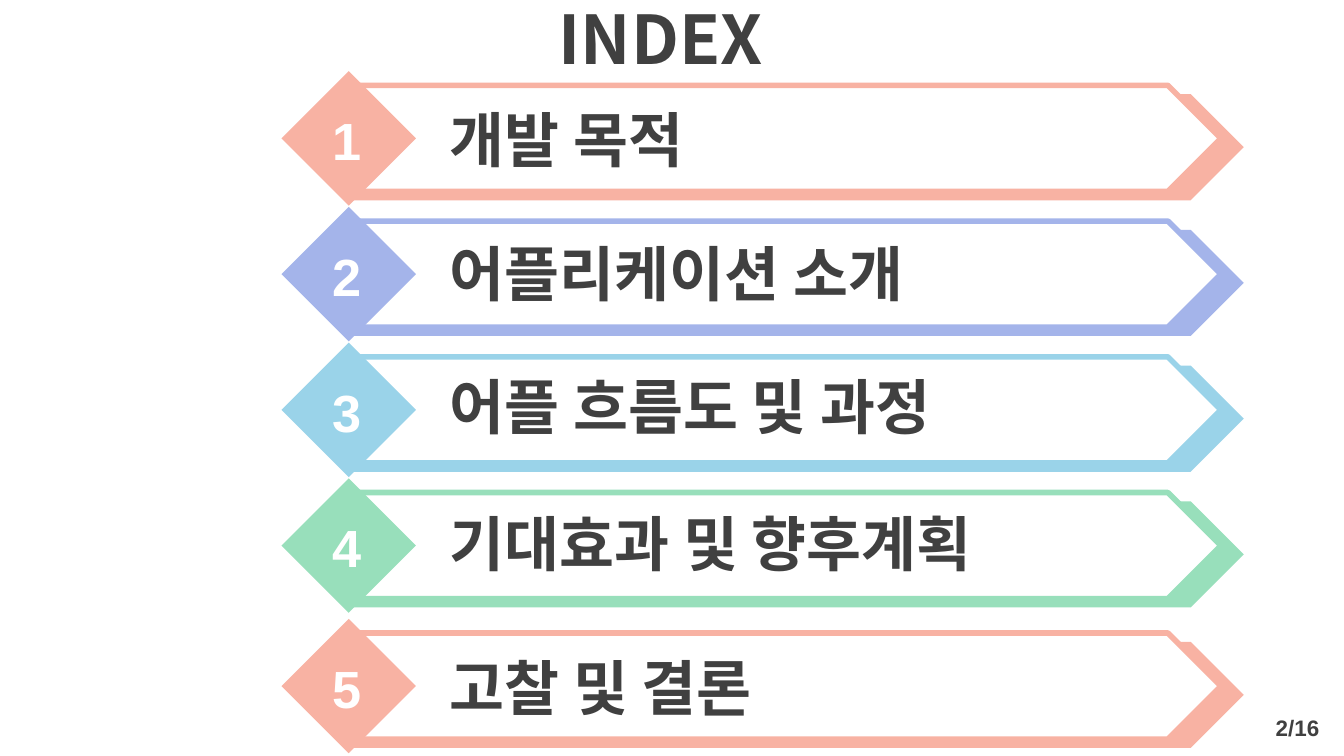
from collections import namedtuple

from lxml import etree
from pptx import Presentation
from pptx import util as u
from pptx.dml.color import RGBColor
from pptx.enum import shapes, text
from pptx.oxml import ns

# The slide is a grid of square cells; every box is counted in cells.
COLUMNS, ROWS = 1000, 562.5
CELL = u.Inches(0.01)

CORAL = RGBColor(0xF8, 0xB2, 0xA3)
PERIWINKLE = RGBColor(0xA4, 0xB4, 0xEA)
SKY = RGBColor(0x9A, 0xD3, 0xE9)
MINT = RGBColor(0x98, 0xDF, 0xBB)
WHITE = RGBColor(0xFF, 0xFF, 0xFF)
CHARCOAL = RGBColor(0x40, 0x40, 0x40)

KOREAN = "Noto Sans CJK KR"
LATIN = "Arial"
PLATE = shapes.MSO_SHAPE.PENTAGON
DIAMOND = shapes.MSO_SHAPE.DIAMOND

TITLE_FORMAT = {"name": KOREAN, "size": u.Pt(36), "bold": True}
ENTRY_FORMAT = {"name": KOREAN, "size": u.Pt(32), "bold": True}
NUMBER_FORMAT = {"name": LATIN, "size": u.Pt(28), "bold": True}
PAGE_FORMAT = {"name": LATIN, "size": u.Pt(12), "bold": True}

# Label, colour, top of the row, drop of the label below that top
ENTRIES = [
    ("개발 목적", CORAL, 53, 18),
    ("어플리케이션 소개", PERIWINKLE, 154, 17),
    ("어플 흐름도 및 과정", SKY, 255, 15),
    ("기대효과 및 향후계획", MINT, 356, 16),
    ("고찰 및 결론", CORAL, 460.5, 18.5),
]


class Box(namedtuple("Box", "left top width height")):
    def inner(self, left, top, width, height):
        return Box(self.left + left, self.top + top, width, height)

    def lengths(self):
        return [round(cells * CELL) for cells in self]


def add_text(page, box, words, font_format, color, align):
    frame = page.shapes.add_textbox(*box.lengths()).text_frame
    frame_format = {
        "word_wrap": True,
        "vertical_anchor": text.MSO_ANCHOR.MIDDLE,
        "margin_top": 0,
        "margin_bottom": 0,
    }
    for name, value in frame_format.items():
        setattr(frame, name, value)
    para = frame.paragraphs[0]
    para.alignment = align
    span = para.add_run()
    span.text = words
    for name, value in font_format.items():
        setattr(span.font, name, value)
    span.font.color.rgb = color
    # Hangul takes its typeface from the East Asian slot.
    east_asian = etree.SubElement(span.font._element, ns.qn("a:ea"))
    east_asian.set("typeface", font_format["name"])


def add_figure(group, kind, box, fill, line=None):
    figure = group.shapes.add_shape(kind, *box.lengths())
    figure.shadow.inherit = False
    figure.fill.solid()
    figure.fill.fore_color.rgb = fill
    if line is None:
        figure.line.fill.background()
    else:
        figure.line.color.rgb = line
        figure.line.width = u.Pt(3)


def add_entry(page, box, number, label, color, label_drop):
    group = page.shapes.add_group_shape()
    add_figure(group, PLATE, box.inner(52, 17, 664, 79), color)
    add_figure(group, PLATE, box.inner(52, 10.5, 647, 79), WHITE, color)
    add_figure(group, DIAMOND, box.inner(0, 0, 100, 100), color)
    add_text(page, box.inner(26.5, 22.5, 44, 57), f"{number} ",
             NUMBER_FORMAT, WHITE, text.PP_ALIGN.CENTER)
    add_text(page, box.inner(115.5, label_drop, 520, 64), label,
             ENTRY_FORMAT, CHARCOAL, text.PP_ALIGN.LEFT)


def add_index(page, box):
    add_text(page, box.inner(-8.5, -3.5, COLUMNS, 63), "INDEX",
             TITLE_FORMAT, CHARCOAL, text.PP_ALIGN.CENTER)
    for number, (label, color, top, label_drop) in enumerate(ENTRIES, 1):
        add_entry(page, box.inner(209.5, top, 716, 100),
                  number, label, color, label_drop)
    add_text(page, box.inner(925.5, 526.5, 66, 30), "2/16",
             PAGE_FORMAT, CHARCOAL, text.PP_ALIGN.RIGHT)


def main():
    deck = Presentation()
    deck.slide_width = round(COLUMNS * CELL)
    deck.slide_height = round(ROWS * CELL)
    page = deck.slides.add_slide(deck.slide_layouts[6])
    add_index(page, Box(0, 0, COLUMNS, ROWS))
    deck.save("out.pptx")


if __name__ == "__main__":
    main()
